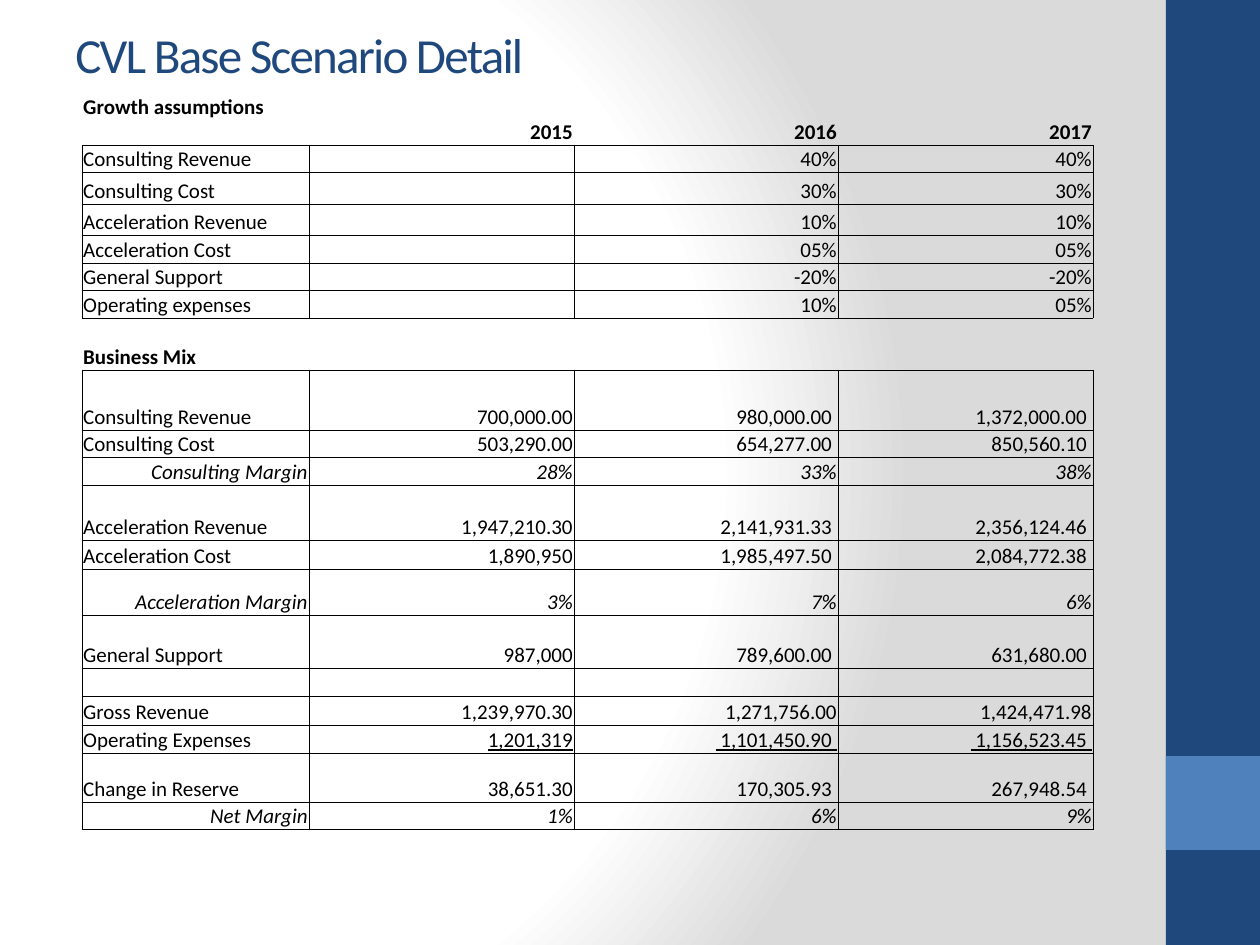
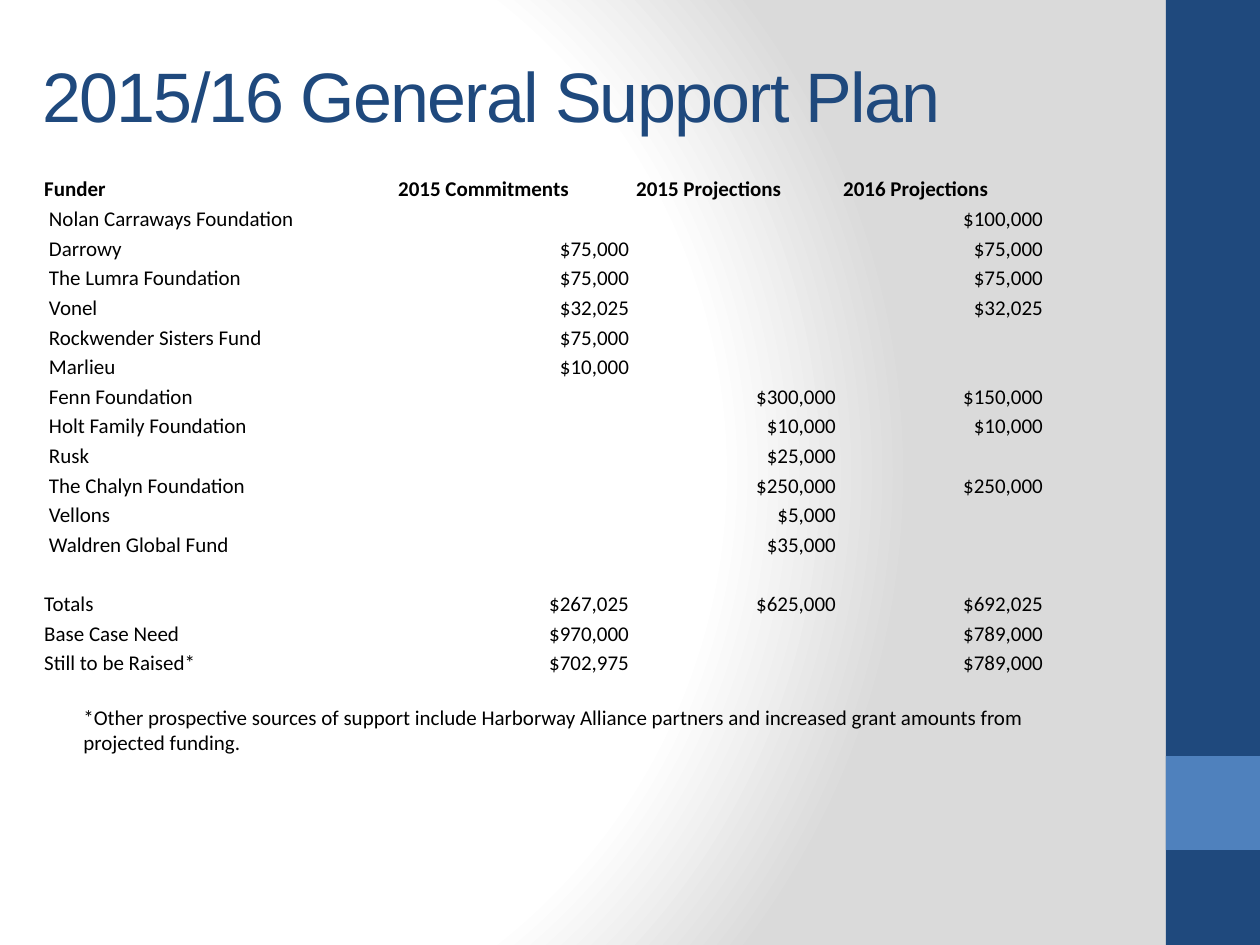
"""Build two finance slides: base scenario detail and general support plan."""
from lxml import etree
from pptx import Presentation
from pptx import oxml, util as u
from pptx.dml.color import RGBColor
from pptx.enum import shapes, text
from pptx.oxml import ns

NAVY = RGBColor(0x1F, 0x49, 0x7D)
BLUE = RGBColor(0x4F, 0x81, 0xBD)
BLACK = RGBColor(0, 0, 0)
WHITE = RGBColor(255, 255, 255)
GREY = RGBColor(0xDA, 0xDA, 0xDA)

PX = 914400 / 126
WIDE, HIGH = 1260, 945
PLAIN = "{2D5ABB26-0587-4C30-8999-92F81FD0307C}"
LEFT, RIGHT = text.PP_ALIGN.LEFT, text.PP_ALIGN.RIGHT
TOP, MIDDLE, BOTTOM = text.MSO_ANCHOR.TOP, text.MSO_ANCHOR.MIDDLE, text.MSO_ANCHOR.BOTTOM

BANDS = [(1166, 0, 94, HIGH, NAVY), (1166, 756, 94, 94, BLUE)]

HEADS = ("Growth assumptions", "Business Mix")
DETAIL = [
    (52, "Growth assumptions", "2015", "2016", "2017"),
    (27, "Consulting Revenue", "", "40%", "40%"),
    (32, "Consulting Cost", "", "30%", "30%"),
    (31, "Acceleration Revenue", "", "10%", "10%"),
    (28, "Acceleration Cost", "", "05%", "05%"),
    (27, "General Support", "", "-20%", "-20%"),
    (28, "Operating expenses", "", "10%", "05%"),
    (52, "Business Mix", "", "", ""),
    (60, "Consulting Revenue", "700,000.00", " 980,000.00 ", " 1,372,000.00 "),
    (27, "Consulting Cost", "503,290.00", " 654,277.00 ", " 850,560.10 "),
    (28, "Consulting Margin", "28%", "33%", "38%"),
    (55, "Acceleration Revenue", "1,947,210.30", " 2,141,931.33 ", " 2,356,124.46 "),
    (29, "Acceleration Cost", "1,890,950", " 1,985,497.50 ", " 2,084,772.38 "),
    (46, "Acceleration Margin", "3%", "7%", "6%"),
    (53, "General Support", "987,000", " 789,600.00 ", " 631,680.00 "),
    (29, "", "", "", ""),
    (29, "Gross Revenue", "1,239,970.30", "1,271,756.00", "1,424,471.98"),
    (28, "Operating Expenses", "1,201,319", " 1,101,450.90 ", " 1,156,523.45 "),
    (49, "Change in Reserve", "38,651.30", " 170,305.93 ", " 267,948.54 "),
    (27, "Net Margin", "1%", "6%", "9%"),
]

PLAN = [
    ("Funder", "2015 Commitments", "2015 Projections", "2016 Projections"),
    (" Nolan Carraways Foundation", "", "", "$100,000"),
    (" Darrowy", "$75,000", "", "$75,000"),
    (" The Lumra Foundation", "$75,000", "", "$75,000"),
    (" Vonel", "$32,025", "", "$32,025"),
    (" Rockwender Sisters Fund", "$75,000", "", ""),
    (" Marlieu", "$10,000", "", ""),
    (" Fenn Foundation", "", "$300,000", "$150,000"),
    (" Holt Family Foundation", "", "$10,000", "$10,000"),
    (" Rusk", "", "$25,000", ""),
    (" The Chalyn Foundation", "", "$250,000", "$250,000"),
    (" Vellons", "", "$5,000", ""),
    (" Waldren Global Fund", "", "$35,000", ""),
    ("", "", "", ""),
    ("Totals", "$267,025", "$625,000", "$692,025"),
    ("Base Case Need", "$970,000", "", "$789,000"),
    ("Still to be Raised*", "$702,975", "", "$789,000"),
]
NOTE = ("*Other prospective sources of support include Harborway Alliance "
        "partners and increased grant amounts from projected funding.")


def px(*vals):
    return [round(v * PX) for v in vals]


def write(frame, words, size=12, face="Calibri", color=BLACK, bold=False,
          slant=False, under=False, align=LEFT, space=0):
    para = frame.paragraphs[0]
    para.alignment = align
    if not words:
        etree.SubElement(para._p, ns.qn("a:endParaRPr"), sz=str(size * 100))
        return
    run = para.add_run()
    run.text = words
    font = run.font
    font.size, font.name, font.color.rgb = u.Pt(size), face, color
    font.bold, font.italic, font.underline = bold, slant, under
    if space:
        run._r.get_or_add_rPr().set("spc", str(space * 100))


def box(slide, words, area, anchor=TOP, **form):
    frame = slide.shapes.add_textbox(*px(*area)).text_frame
    frame.word_wrap = True
    frame.vertical_anchor = anchor
    write(frame, words, **form)


def title(slide, words, area, **form):
    box(slide, words, area, anchor=MIDDLE, color=NAVY, space=-1, **form)


def backdrop(master):
    master.background.fill.gradient()
    old = master._element.find(".//" + ns.qn("a:gradFill"))
    stops = "".join(f'<a:gs pos="{pos}000"><a:srgbClr val="{tone}"/></a:gs>'
                    for pos, tone in ((0, WHITE), (75, WHITE), (100, GREY)))
    new = oxml.parse_xml(
        f'<a:gradFill {ns.nsdecls("a")} rotWithShape="1"><a:gsLst>{stops}</a:gsLst>'
        '<a:path path="circle"><a:fillToRect l="20000" t="50000" r="100000" b="50000"/>'
        '</a:path></a:gradFill>')
    old.getparent().replace(old, new)


def start(deck):
    slide = deck.slides.add_slide(deck.slide_layouts[6])
    for *area, color in BANDS:
        band = slide.shapes.add_shape(shapes.MSO_SHAPE.RECTANGLE, *px(*area))
        band.shadow.inherit = False
        band.fill.solid()
        band.fill.fore_color.rgb = color
        band.line.fill.background()
    return slide


def grid(slide, left, top, cols, rows):
    frame = slide.shapes.add_table(len(rows), len(cols),
                                   *px(left, top, sum(cols), sum(rows)))
    table = frame.table
    table.first_row = table.horz_banding = False
    table._tbl.tblPr.find(ns.qn("a:tableStyleId")).text = PLAIN
    for part, sizes in ((table.columns, cols), (table.rows, rows)):
        for item, size in zip(part, px(*sizes)):
            if part is table.columns:
                item.width = size
            else:
                item.height = size
    return table


def fill(cell, words, sides="", anchor=BOTTOM, **form):
    cell.margin_left = cell.margin_right = cell.margin_top = u.Inches(0.01)
    cell.margin_bottom = 0
    cell.vertical_anchor = anchor
    write(cell.text_frame, words, **form)
    for side in sides:
        cell._tc.get_or_add_tcPr().append(oxml.parse_xml(
            f'<a:ln{side} {ns.nsdecls("a")} w="3175"><a:solidFill>'
            f'<a:srgbClr val="{BLACK}"/></a:solidFill></a:ln{side}>'))
    cell.fill.background()


def detail(deck):
    slide = start(deck)
    title(slide, "CVL Base Scenario Detail", (63, 14, 1076, 79), size=28)
    table = grid(slide, 82, 93, (227, 265, 264, 255), [row[0] for row in DETAIL])
    for r, (_, *row) in enumerate(DETAIL):
        name = row[0]
        head, margin = name in HEADS, name.endswith("Margin")
        sides = "LRTB"
        if head:
            sides = "TB" if r else "B"
        for c, words in enumerate(row):
            fill(table.cell(r, c), words, sides,
                 anchor=BOTTOM if r or c else TOP,
                 bold=head, slant=margin,
                 under=c > 0 and name == "Operating Expenses",
                 align=RIGHT if c or margin else LEFT)


def plan(deck):
    slide = start(deck)
    title(slide, "2015/16 General Support Plan", (30, 38, 995, 113),
          size=40, face="Arial")
    box(slide, NOTE, (71, 698, 989, 63))
    table = grid(slide, 43, 173, (354, 238, 207, 207), [504 / len(PLAN)] * len(PLAN))
    for r, row in enumerate(PLAN):
        for c, words in enumerate(row):
            money = r > 0 and c > 0
            fill(table.cell(r, c), f" {words} " if money and words else words,
                 bold=r == 0, align=RIGHT if money else LEFT)


def main():
    deck = Presentation()
    deck.slide_width, deck.slide_height = px(WIDE, HIGH)
    backdrop(deck.slide_master)
    detail(deck)
    plan(deck)
    deck.save("out.pptx")


if __name__ == "__main__":
    main()
